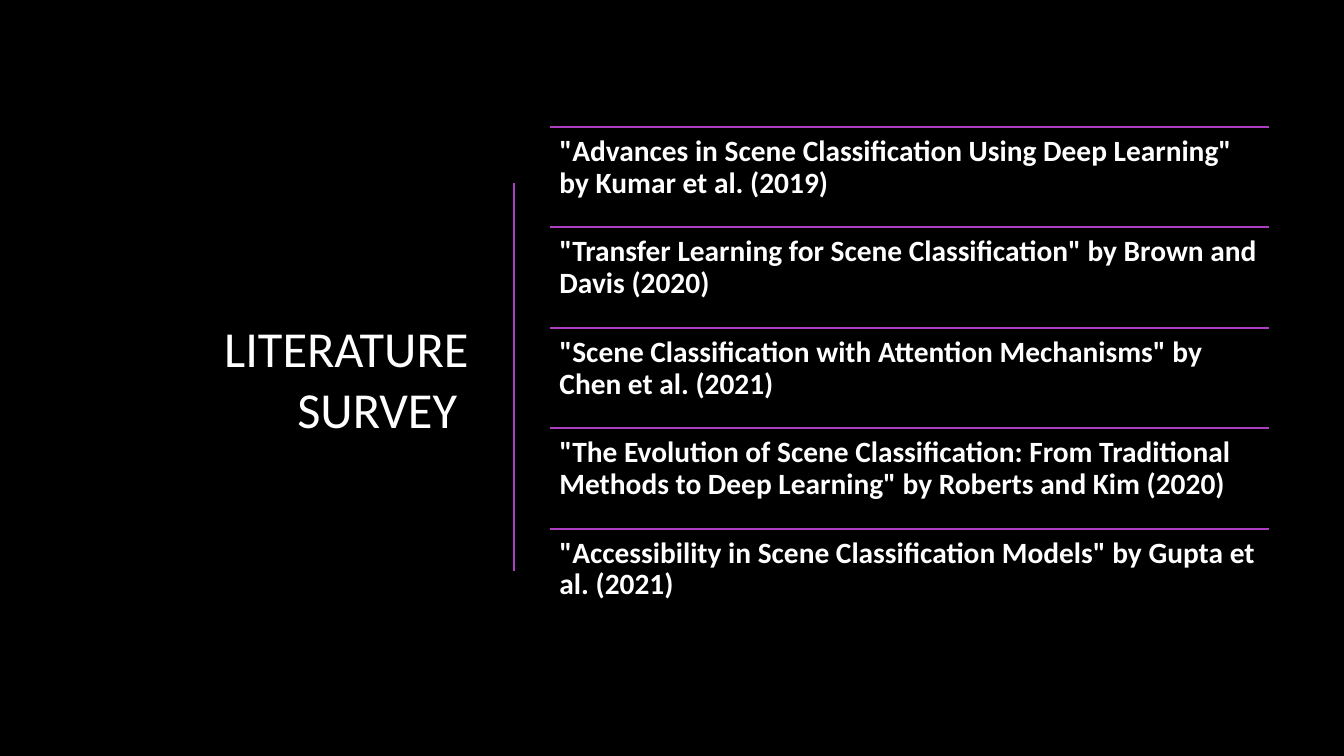
from pptx import Presentation
from pptx.dml.color import RGBColor
from pptx.enum.shapes import MSO_CONNECTOR
from pptx.enum.text import MSO_ANCHOR, PP_ALIGN
from pptx.oxml.ns import qn
from pptx.util import Cm, Pt
from lxml.etree import SubElement

BLACK = RGBColor(0x00, 0x00, 0x00)
WHITE = RGBColor(0xFF, 0xFF, 0xFF)
PURPLE = RGBColor(0xAC, 0x3E, 0xC1)

TITLE_FONT = {"name": "Calibri", "size": Pt(36), "bold": False}
PAPER_FONT = {"name": "Calibri", "size": Pt(21), "bold": True}
TITLE_FRAME = {"word_wrap": True, "vertical_anchor": MSO_ANCHOR.MIDDLE}
PAPER_FRAME = {
    "word_wrap": True,
    "vertical_anchor": MSO_ANCHOR.TOP,
    "margin_left": Cm(0.23),
    "margin_right": Cm(0.23),
    "margin_top": Cm(0.23),
    "margin_bottom": Cm(0.23),
}
TITLE_PARAGRAPH = {"alignment": PP_ALIGN.RIGHT}
PAPER_PARAGRAPH = {"alignment": PP_ALIGN.LEFT, "line_spacing": 0.9}

LIST_LEFT = 13.87
LIST_TOP = 3.2
LIST_WIDTH = 18.1
ROW_HEIGHT = 2.53

PAPERS = [
    '"Advances in Scene Classification Using Deep Learning" by Kumar et al. (2019)',
    '"Transfer Learning for Scene Classification" by Brown and Davis (2020)',
    '"Scene Classification with Attention Mechanisms" by Chen et al. (2021)',
    '"The Evolution of Scene Classification: From Traditional Methods to Deep Learning"'
    " by Roberts and Kim (2020)",
    '"Accessibility in Scene Classification Models" by Gupta et al. (2021)',
]


def apply_format(target, values):
    for name, value in values.items():
        setattr(target, name, value)


def add_rule(shapes, left, top, right, bottom):
    rule = shapes.add_connector(
        MSO_CONNECTOR.STRAIGHT, Cm(left), Cm(top), Cm(right), Cm(bottom)
    )
    rule.line.color.rgb = PURPLE
    rule.line.width = Pt(1.5)
    SubElement(rule._element.spPr, qn("a:effectLst"))


def add_text(shapes, text, left, top, width, height, frame, paragraph, font):
    box = shapes.add_textbox(Cm(left), Cm(top), Cm(width), Cm(height))
    apply_format(box.text_frame, frame)
    para = box.text_frame.paragraphs[0]
    apply_format(para, paragraph)
    span = para.add_run()
    span.text = text
    apply_format(span.font, font)
    span.font.color.rgb = WHITE


def add_papers(page):
    shapes = page.shapes.add_group_shape().shapes
    for index, paper in enumerate(PAPERS):
        top = LIST_TOP + index * ROW_HEIGHT
        add_rule(shapes, LIST_LEFT, top, LIST_LEFT + LIST_WIDTH, top)
        add_text(shapes, paper, LIST_LEFT, top, LIST_WIDTH, ROW_HEIGHT,
                 PAPER_FRAME, PAPER_PARAGRAPH, PAPER_FONT)


def main():
    deck = Presentation()
    deck.slide_width = Cm(33.87)
    deck.slide_height = Cm(19.05)
    page = deck.slides.add_slide(deck.slide_layouts[6])
    page.background.fill.solid()
    page.background.fill.fore_color.rgb = BLACK

    add_text(page.shapes, "LITERATURE SURVEY ", 1.9, 3.2, 10.16, 12.65,
             TITLE_FRAME, TITLE_PARAGRAPH, TITLE_FONT)
    add_rule(page.shapes, 12.95, 4.62, 12.95, 14.4)
    add_papers(page)
    deck.save("out.pptx")


if __name__ == "__main__":
    main()
